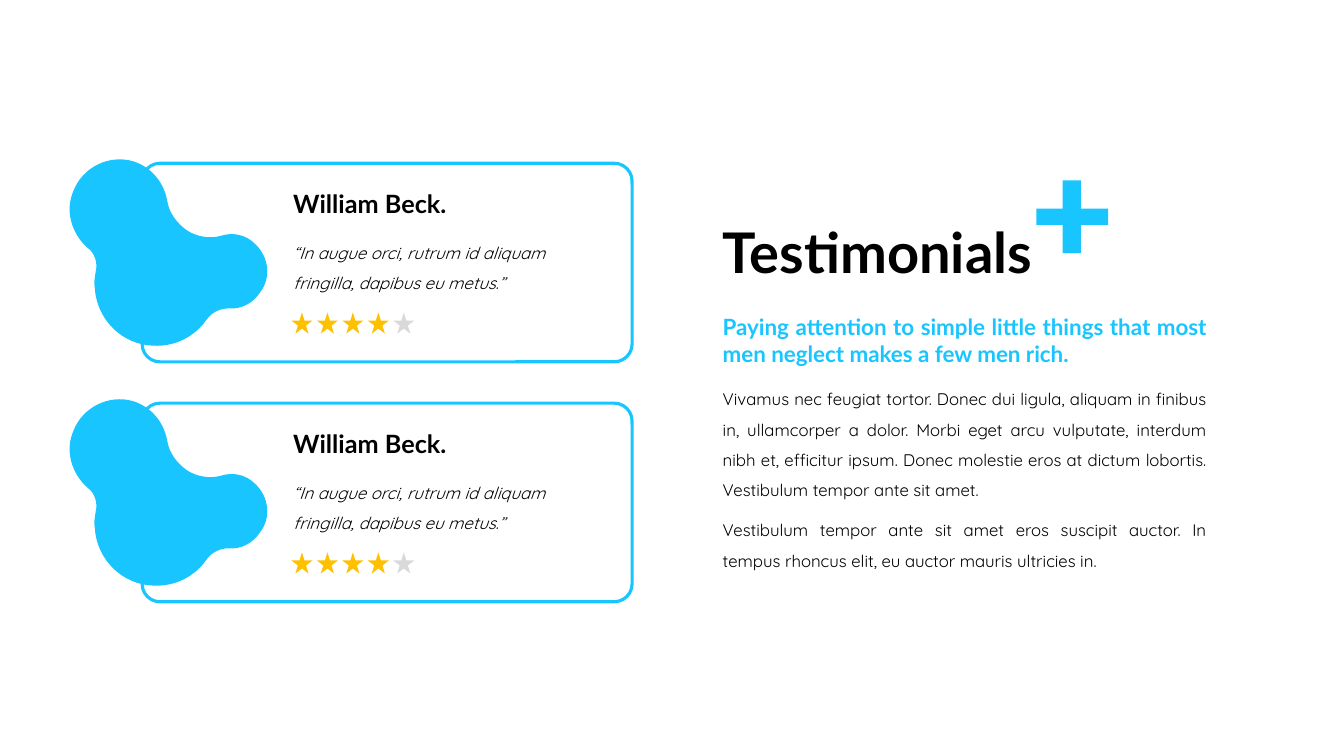
import pptx
import pptx.util
import pptx.dml.color
import pptx.enum.shapes
import pptx.enum.text
import pptx.oxml.ns

Inches, Pt = pptx.util.Inches, pptx.util.Pt
RGBColor = pptx.dml.color.RGBColor
SHAPE = pptx.enum.shapes.MSO_SHAPE
ALIGN = pptx.enum.text.PP_ALIGN
ANCHOR = pptx.enum.text.MSO_ANCHOR
AUTO_SIZE = pptx.enum.text.MSO_AUTO_SIZE
qn = pptx.oxml.ns.qn

BLUE = RGBColor(0x19, 0xC5, 0xFF)
GOLD = RGBColor(0xFF, 0xC0, 0x00)
GREY = RGBColor(0xD9, 0xD9, 0xD9)
BLACK = RGBColor(0, 0, 0)
WHITE = RGBColor(0xFF, 0xFF, 0xFF)
HEAD_FONT, BODY_FONT = "Lato", "Quicksand"

# Content
HEADING = "Testimonials"
SUBHEADING = "Paying attention to simple little things that most men neglect makes a few men rich."
# (top, height, text)
BODY = [
    (3.71, 1.31, "Vivamus nec feugiat tortor. Donec dui ligula, aliquam in finibus in, "
     "ullamcorper a dolor. Morbi eget arcu vulputate, interdum nibh et, efficitur ipsum. "
     "Donec molestie eros at dictum lobortis. Vestibulum tempor ante sit amet."),
    (5.01, 0.71, "Vestibulum tempor ante sit amet eros suscipit auctor. "
     "In tempus rhoncus elit, eu auctor mauris ultricies in."),
]
QUOTE = "“In augue orci, rutrum id aliquam fringilla, dapibus eu metus.”"
# (name, quote, stars earned)
TESTIMONIALS = [("William Beck.", QUOTE, 4), ("William Beck.", QUOTE, 4)]

# Layout, in inches
CARD_TOP, CARD_PITCH = 1.62, 2.38
STAR_COUNT, STAR_SIZE, FIRST_STAR, LAST_STAR = 5, 0.21, 2.89, 3.9

PLUS = [(10.54, 1.79), (10.72, 1.79), (10.72, 2.07), (10.99, 2.07), (10.99, 2.23),
        (10.72, 2.23), (10.72, 2.51), (10.54, 2.51), (10.54, 2.23), (10.28, 2.23),
        (10.28, 2.07), (10.54, 2.07)]

# Blob on the first card: the start, then two control points and an end per curve
BLOB = [
    (2.27, 3.06),
    (2.39, 3.07), (2.51, 3.01), (2.58, 2.9),
    (2.69, 2.76), (2.67, 2.55), (2.53, 2.42),
    (2.44, 2.33), (2.31, 2.3), (2.19, 2.34),
    (2.08, 2.37), (1.96, 2.35), (1.86, 2.29),
    (1.86, 2.29), (1.86, 2.29), (1.86, 2.29),
    (1.76, 2.22), (1.68, 2.12), (1.66, 2),
    (1.63, 1.82), (1.51, 1.66), (1.32, 1.6),
    (1.08, 1.53), (0.82, 1.66), (0.73, 1.89),
    (0.64, 2.09), (0.71, 2.32), (0.87, 2.46),
    (0.94, 2.51), (0.97, 2.61), (0.95, 2.69),
    (0.94, 2.75), (0.93, 2.8), (0.94, 2.86),
    (0.96, 3.17), (1.21, 3.42), (1.52, 3.43),
    (1.74, 3.44), (1.93, 3.34), (2.05, 3.17),
    (2.1, 3.1), (2.18, 3.06), (2.27, 3.06),
]


def paint(shape, fill, line=None):
    shape.shadow.inherit = False
    shape.fill.solid()
    shape.fill.fore_color.rgb = fill
    if line is None:
        shape.line.fill.background()
    else:
        shape.line.color.rgb = line
        shape.line.width = Pt(2.25)


def add_outline(slide, points, down=0):
    corners = [(Inches(x), Inches(y + down)) for x, y in points]
    builder = slide.shapes.build_freeform(*corners[0])
    builder.add_line_segments(corners[1:], close=True)
    outline = builder.convert_to_shape()
    paint(outline, BLUE)
    return outline


def curve_segments(outline):
    """Turn each three line segments into one Bezier curve."""
    lines = list(outline.element.iter(qn("a:lnTo")))
    for first, second, end in zip(lines[::3], lines[1::3], lines[2::3]):
        curve = first.makeelement(qn("a:cubicBezTo"))
        first.addprevious(curve)
        for line in (first, second, end):
            curve.append(line[0])
            line.getparent().remove(line)


def write(frame, text, font, size, color=BLACK, bold=False, italic=False,
          align=ALIGN.LEFT, spacing=1.0, anchor=ANCHOR.TOP):
    frame.word_wrap = True
    frame.vertical_anchor = anchor
    frame.text = text
    paragraph = frame.paragraphs[0]
    paragraph.alignment = align
    paragraph.line_spacing = spacing
    paragraph.font.name = font
    paragraph.font.size = Pt(size)
    paragraph.font.bold = bold
    paragraph.font.italic = italic
    paragraph.font.color.rgb = color


def add_text(slide, box, text, font, size, **style):
    frame = slide.shapes.add_textbox(*map(Inches, box)).text_frame
    write(frame, text, font, size, **style)
    frame.auto_size = AUTO_SIZE.SHAPE_TO_FIT_TEXT


def add_testimonial(slide, down, name, quote, earned):
    top = CARD_TOP + down
    card = slide.shapes.add_shape(SHAPE.ROUNDED_RECTANGLE, Inches(1.41), Inches(top),
                                  Inches(4.86), Inches(1.97))
    card.adjustments[0] = 0.09
    paint(card, WHITE, BLUE)
    curve_segments(add_outline(slide, BLOB, down))
    add_text(slide, (2.81, top + 0.65, 3.32, 0.67), quote, BODY_FONT, 12,
             italic=True, spacing=1.5, anchor=ANCHOR.MIDDLE)
    add_text(slide, (2.81, top + 0.2, 2.62, 0.4), name, HEAD_FONT, 18,
             bold=True, anchor=ANCHOR.MIDDLE)

    # Star rating
    rating = slide.shapes.add_group_shape()
    pitch = (LAST_STAR - FIRST_STAR) / (STAR_COUNT - 1)
    for i in range(STAR_COUNT):
        star = rating.shapes.add_shape(
            SHAPE.STAR_5_POINT, Inches(FIRST_STAR + i * pitch), Inches(top + 1.48),
            Inches(STAR_SIZE), Inches(STAR_SIZE))
        paint(star, GOLD if i < earned else GREY)


def main():
    deck = pptx.Presentation()
    deck.slide_width, deck.slide_height = Inches(13.33), Inches(7.5)
    slide = deck.slides.add_slide(deck.slide_layouts[5])

    # Heading with plus sign
    heading = slide.shapes.title
    heading.left, heading.top = Inches(7.07), Inches(1.81)
    heading.width, heading.height = Inches(5.08), Inches(1.45)
    write(heading.text_frame, HEADING, HEAD_FONT, 40, bold=True, spacing=0.9,
          anchor=ANCHOR.MIDDLE)
    heading.text_frame.auto_size = AUTO_SIZE.NONE
    add_outline(slide, PLUS)

    # Introduction
    add_text(slide, (7.07, 3.06, 5, 0.64), SUBHEADING, HEAD_FONT, 16, color=BLUE,
             bold=True, align=ALIGN.JUSTIFY)
    for top, height, text in BODY:
        add_text(slide, (7.07, top, 5, height), text, BODY_FONT, 12,
                 align=ALIGN.JUSTIFY, spacing=1.5)

    # Testimonial cards
    for i, testimonial in enumerate(TESTIMONIALS):
        add_testimonial(slide, i * CARD_PITCH, *testimonial)

    deck.save("out.pptx")


if __name__ == "__main__":
    main()
